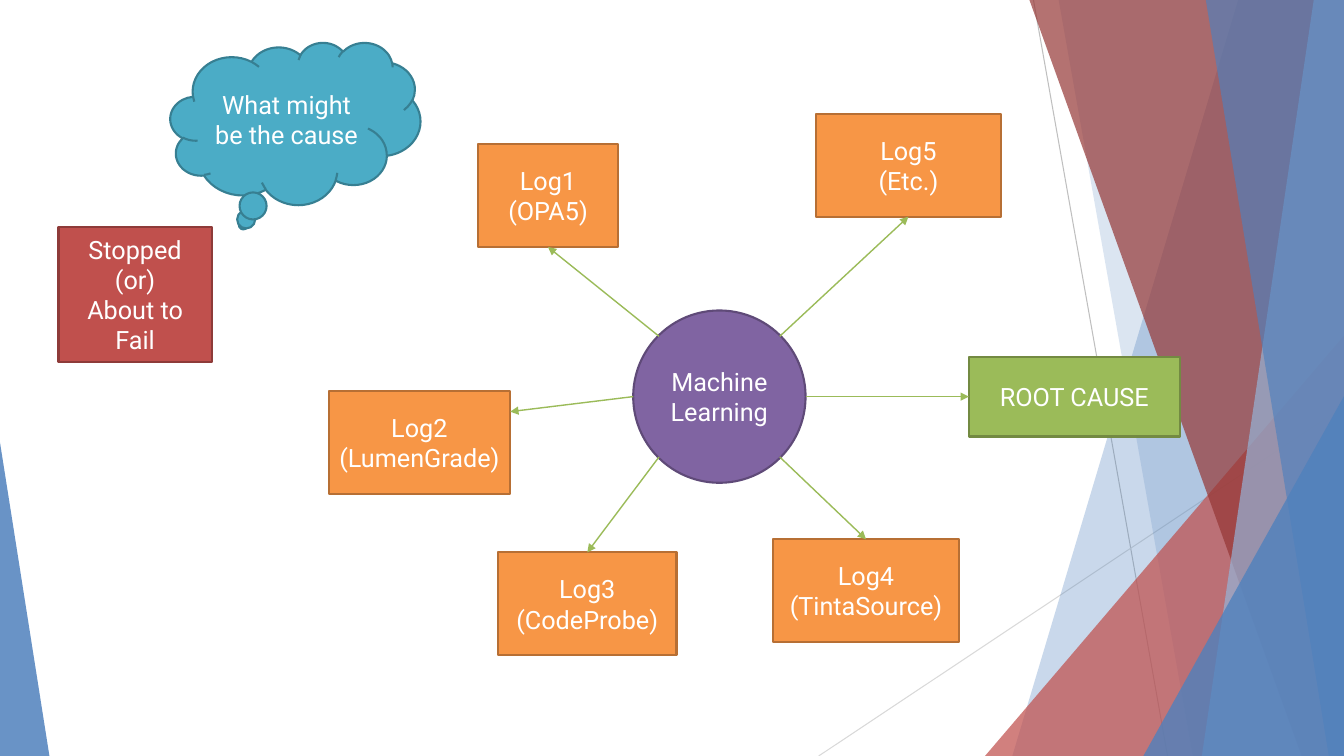
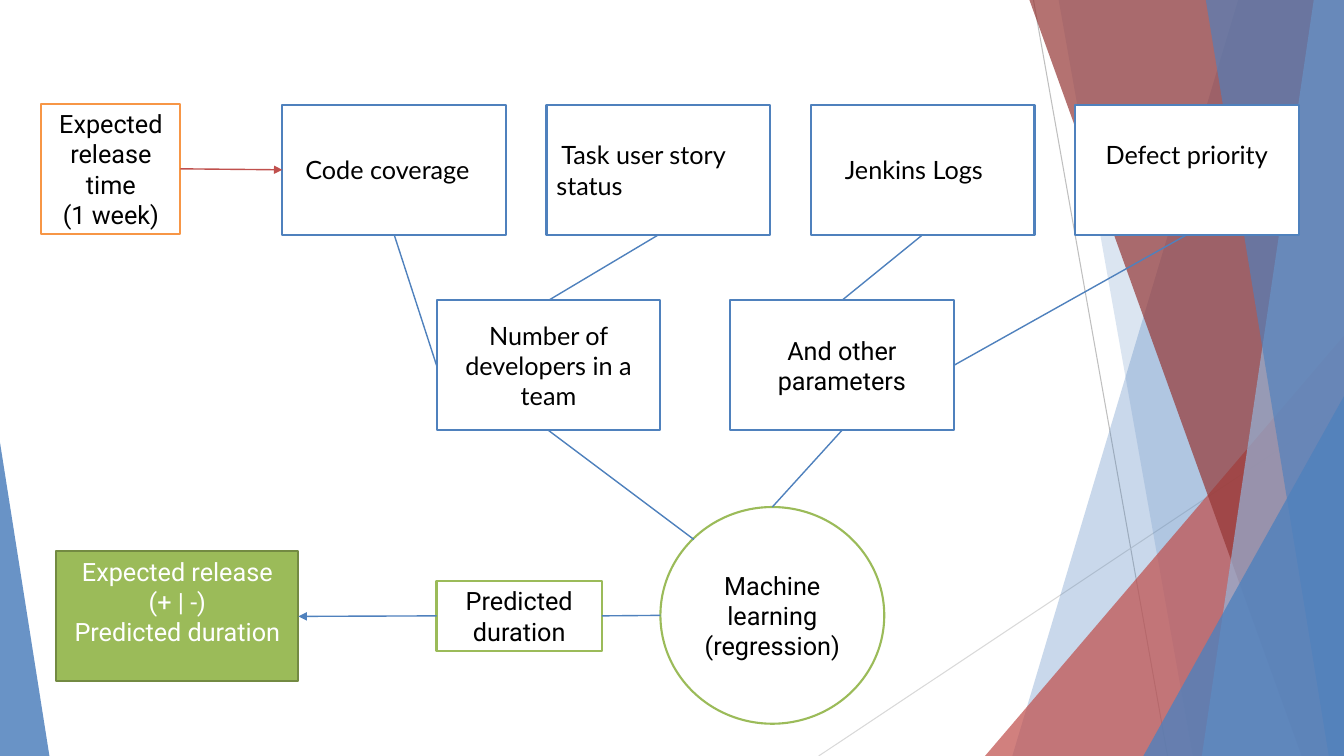
"""Build two process diagrams over a shared faceted background."""

import pptx
import pptx.dml.color
import pptx.enum.shapes
import pptx.enum.text
import pptx.oxml.ns
import pptx.oxml.xmlchemy
import pptx.util
from lxml import etree

Inches = pptx.util.Inches
RGBColor = pptx.dml.color.RGBColor
SHAPE = pptx.enum.shapes.MSO_SHAPE
ALIGN = pptx.enum.text.PP_ALIGN
qn = pptx.oxml.ns.qn

WHITE = RGBColor(0xFF, 0xFF, 0xFF)
BLACK = RGBColor(0x00, 0x00, 0x00)
BLUE = RGBColor(0x4F, 0x81, 0xBD)
PALE_BLUE = RGBColor(0x95, 0xB3, 0xD7)
RED = RGBColor(0xC0, 0x50, 0x4D)
DARK_RED = RGBColor(0x95, 0x37, 0x35)
RED_EDGE = RGBColor(0x8E, 0x3B, 0x39)
TEAL = RGBColor(0x4B, 0xAC, 0xC6)
TEAL_EDGE = RGBColor(0x37, 0x7F, 0x92)
ORANGE = RGBColor(0xF7, 0x96, 0x46)
ORANGE_EDGE = RGBColor(0xB7, 0x6F, 0x34)
PURPLE = RGBColor(0x80, 0x64, 0xA2)
PURPLE_EDGE = RGBColor(0x5F, 0x4A, 0x78)
GREEN = RGBColor(0x9B, 0xBB, 0x59)
GREEN_EDGE = RGBColor(0x73, 0x8A, 0x42)
GREY = RGBColor(0xBF, 0xBF, 0xBF)
PALE_GREY = RGBColor(0xD9, 0xD9, 0xD9)

WIDTH, HEIGHT = 13.33, 7.5

TOP, LEFT, BOTTOM, RIGHT = (0.5, 0), (0, 0.5), (0.5, 1), (1, 0.5)
RECTANGLE_SITES = [TOP, LEFT, BOTTOM, RIGHT]
NEAR, FAR = 0.15, 0.85
UPPER_LEFT, LOWER_LEFT = (NEAR, NEAR), (NEAR, FAR)
UPPER_RIGHT, LOWER_RIGHT = (FAR, NEAR), (FAR, FAR)


def write(frame, text, font="Roboto", size=18, color=BLACK,
          align=ALIGN.CENTER, indent=0, bottom=0.05):
    """Fill a text frame, one paragraph for each line of text."""
    frame.word_wrap = True
    frame.vertical_anchor = pptx.enum.text.MSO_ANCHOR.MIDDLE
    frame.margin_bottom = Inches(bottom)
    for number, line in enumerate(text.split("\n")):
        paragraph = frame.add_paragraph() if number else frame.paragraphs[0]
        paragraph.text = line
        paragraph.alignment = align
        if indent:
            properties = paragraph._p.get_or_add_pPr()
            properties.set("indent", str(Inches(indent)))
        for run in paragraph.runs:
            run.font.name = font
            run.font.size = pptx.util.Pt(size)
            run.font.color.rgb = color


def site_point(shape, site):
    """Return the point at a fraction of a shape's width and height."""
    across, down = site
    return (round(shape.left + across * shape.width),
            round(shape.top + down * shape.height))


class Deck:
    """Hold the presentation, its style and the current slide."""

    def __init__(self):
        """Start an empty presentation with the shared background."""
        self.presentation = pptx.Presentation()
        self.presentation.slide_width = Inches(WIDTH)
        self.presentation.slide_height = Inches(HEIGHT)
        self.layout = self.presentation.slide_layouts[6]
        self.slide = None

    def new_slide(self):
        """Add a slide and make it current."""
        self.slide = self.presentation.slides.add_slide(self.layout)

    def move_to_layout(self):
        """Make the current slide's shapes the layout's only content."""
        for placeholder in list(self.layout.placeholders):
            placeholder.element.getparent().remove(placeholder.element)
        for shape in list(self.slide.shapes):
            self.layout.shapes.element.append(shape.element)

    def facet(self, shape, color, opacity):
        """Give a background shape a translucent fill and no outline."""
        shape.shadow.inherit = False
        shape.fill.solid()
        shape.fill.fore_color.rgb = color
        shape.line.fill.background()
        tint = shape.element.find(".//" + qn("a:srgbClr"))
        etree.SubElement(tint, qn("a:alpha")).set("val", str(opacity * 1000))

    def band(self, top_x, bottom_x, color, opacity):
        """Draw a band from a slanted left edge to the slide's right side."""
        corners = [(WIDTH, 0), (WIDTH, HEIGHT), (bottom_x, HEIGHT)]
        builder = self.slide.shapes.build_freeform(Inches(top_x), 0)
        builder.add_line_segments([(Inches(x), Inches(y)) for x, y in corners])
        self.facet(builder.convert_to_shape(), color, opacity)

    def wedge(self, left, top, width, apex, color, opacity):
        """Draw a right triangle standing on the slide's lower edge."""
        triangle = self.slide.shapes.add_shape(
            SHAPE.ISOSCELES_TRIANGLE, Inches(left), Inches(top),
            Inches(width), Inches(HEIGHT - top))
        triangle.adjustments[0] = apex
        self.facet(triangle, color, opacity)

    def box(self, text, left, top, width, height, fill=WHITE, edge=BLUE,
            kind=SHAPE.RECTANGLE, **text_format):
        """Draw an outlined shape holding text."""
        shape = self.slide.shapes.add_shape(
            kind, Inches(left), Inches(top), Inches(width), Inches(height))
        shape.shadow.inherit = False
        shape.fill.solid()
        shape.fill.fore_color.rgb = fill
        shape.line.color.rgb = edge
        shape.line.width = pptx.util.Pt(1.5)
        text_format.setdefault("color", BLACK if fill == WHITE else WHITE)
        write(shape.text_frame, text, **text_format)
        return shape

    def line(self, start, end, color, width=1, arrow=False):
        """Draw a straight line between two points."""
        connector = self.slide.shapes.add_connector(
            pptx.enum.shapes.MSO_CONNECTOR.STRAIGHT, *start, *end)
        connector.line.color.rgb = color
        connector.line.width = pptx.util.Pt(width)
        properties = connector.element.find(qn("p:spPr"))
        if arrow:
            outline = properties.find(qn("a:ln"))
            etree.SubElement(outline, qn("a:tailEnd")).set("type", "triangle")
        etree.SubElement(properties, qn("a:effectLst"))
        return connector

    def link(self, start, start_site, end, end_site, color=BLUE, arrow=False):
        """Join two shapes, attaching to the side centres of rectangles."""
        connector = self.line(site_point(start, start_site),
                              site_point(end, end_site), color, arrow=arrow)
        for shape, site, attach in (
                (start, start_site, connector.begin_connect),
                (end, end_site, connector.end_connect)):
            if (shape.auto_shape_type == SHAPE.RECTANGLE
                    and site in RECTANGLE_SITES):
                attach(shape, RECTANGLE_SITES.index(site))


def draw_background(deck):
    """Draw the facets and hairlines that every slide shares."""
    deck.line((Inches(10.25), 0), (Inches(11.58), Inches(HEIGHT)), GREY, 0.75)
    deck.line((Inches(WIDTH), Inches(4.03)), (Inches(8.12), Inches(HEIGHT)),
              PALE_GREY, 0.75)
    deck.band(12.28, 10.04, BLUE, 30)
    deck.band(10.5, 11.83, BLUE, 20)
    deck.wedge(9.77, 3.33, 3.56, 1, RED, 72)
    deck.band(10.21, 12.91, DARK_RED, 70)
    deck.band(13.03, 11.92, PALE_BLUE, 70)
    deck.band(11.96, 13.18, BLUE, 65)
    deck.wedge(11.34, 3.93, 1.99, 1, BLUE, 80)
    deck.wedge(0, 4.39, 0.49, 0, BLUE, 85)
    deck.move_to_layout()


def draw_root_cause(deck):
    """Draw the logs around the learning hub that finds the root cause."""
    deck.box("Stopped\n(or)\nAbout to Fail", 0.58, 2.25, 1.52, 1.34,
             RED, RED_EDGE)
    deck.box("What might be the cause", 1.69, 0.42, 2.48, 1.61,
             TEAL, TEAL_EDGE, SHAPE.CLOUD_CALLOUT)
    hub = deck.box("Machine Learning", 6.28, 3.08, 1.71, 1.71,
                   PURPLE, PURPLE_EDGE, SHAPE.OVAL)
    logs = [
        ("Log1\n(OPA5)", 4.74, 1.43, 1.39, UPPER_LEFT, BOTTOM),
        ("Log2\n(LumenGrade)", 3.26, 3.88, 1.8, LEFT, (1, 0.2)),
        ("Log3\n(CodeProbe)", 4.94, 5.48, 1.77, LOWER_LEFT, TOP),
        ("Log4\n(TintaSource)", 7.67, 5.35, 1.84, LOWER_RIGHT, TOP),
        ("Log5\n(Etc.)", 8.09, 1.13, 1.84, UPPER_RIGHT, BOTTOM),
    ]
    for text, left, top, width, hub_site, log_site in logs:
        log = deck.box(text, left, top, width, 1.02, ORANGE, ORANGE_EDGE)
        deck.link(hub, hub_site, log, log_site, GREEN, arrow=True)
    root_cause = deck.box("ROOT CAUSE", 9.61, 3.54, 2.09, 0.79,
                          GREEN, GREEN_EDGE)
    deck.link(hub, RIGHT, root_cause, LEFT, GREEN, arrow=True)


def draw_release_forecast(deck):
    """Draw how project factors lead to a predicted release duration."""
    width, height = 2.22, 1.29
    release_time = deck.box("Expected release time\n(1 week)",
                            0.41, 1.03, 1.38, height, edge=ORANGE)
    factors = [
        ("Code coverage", {"align": ALIGN.LEFT, "indent": 0.13}),
        ("Task user story status", {"align": ALIGN.LEFT, "indent": 0.05}),
        ("Jenkins Logs", {"align": ALIGN.LEFT, "indent": 0.24}),
        ("Defect priority", {"bottom": 0.35}),
    ]
    coverage, stories, build_logs, defects = [
        deck.box(text, 2.8 + 2.62 * column, 1.04, width, height,
                 font="Lato", **text_format)
        for column, (text, text_format) in enumerate(factors)]
    developers = deck.box("Number of developers in a team",
                          4.33, 2.98, width, height, font="Lato")
    others = deck.box("And other parameters", 7.24, 2.98, width, height)
    learning = deck.box("Machine learning (regression)", 6.55, 5.03,
                        width, 2.15, edge=GREEN, kind=SHAPE.OVAL)
    duration = deck.box("Predicted duration", 4.33, 5.76, 1.64, 0.7,
                        edge=GREEN)
    forecast = deck.box("Expected release\n(+ | -)\nPredicted duration",
                        0.56, 5.47, 2.4, height, GREEN, GREEN_EDGE,
                        bottom=0.35)
    deck.link(release_time, RIGHT, coverage, LEFT, RED, arrow=True)
    deck.link(coverage, BOTTOM, developers, LEFT)
    deck.link(stories, BOTTOM, developers, TOP)
    deck.link(build_logs, BOTTOM, others, TOP)
    deck.link(defects, BOTTOM, others, RIGHT)
    deck.link(developers, BOTTOM, learning, UPPER_LEFT)
    deck.link(others, BOTTOM, learning, TOP)
    deck.link(learning, LEFT, duration, RIGHT)
    deck.link(duration, LEFT, forecast, RIGHT, arrow=True)


def main():
    """Build and save the presentation."""
    deck = Deck()
    deck.new_slide()
    draw_background(deck)
    draw_root_cause(deck)
    deck.new_slide()
    draw_release_forecast(deck)
    deck.presentation.save("out.pptx")


if __name__ == "__main__":
    main()
